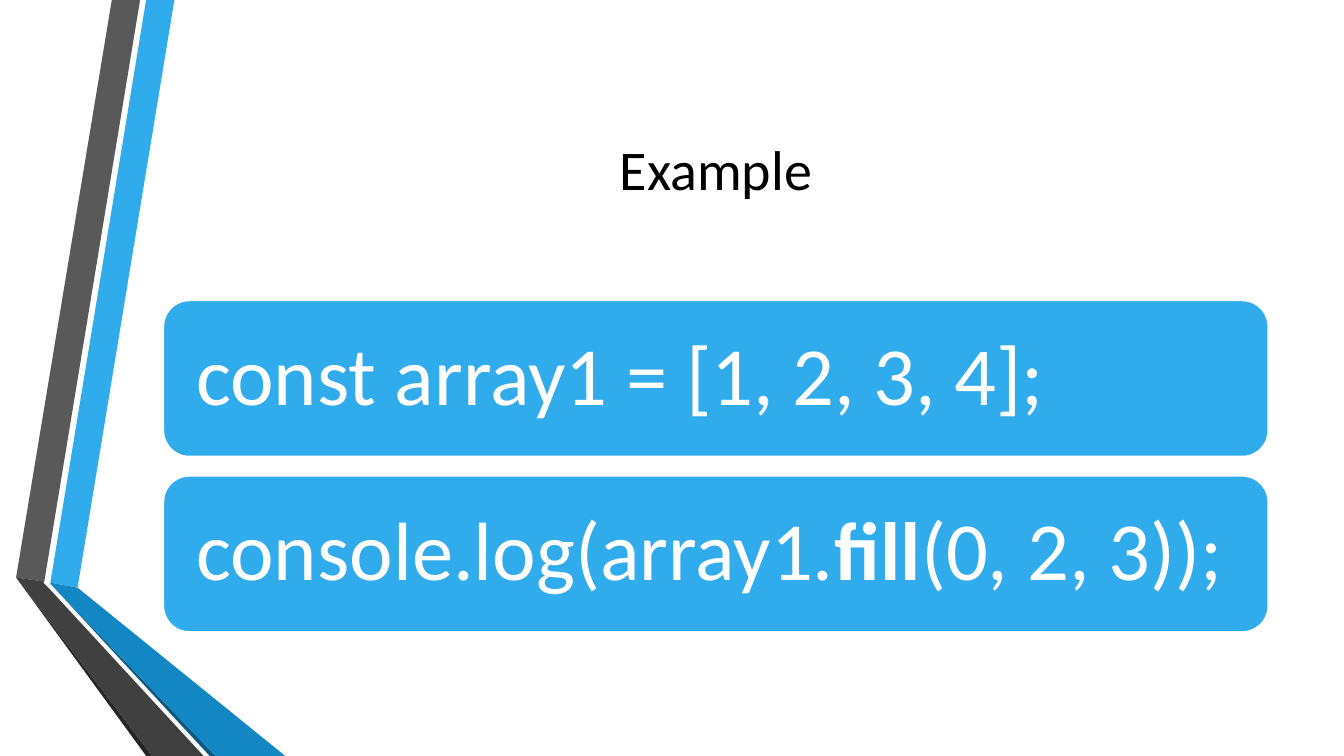
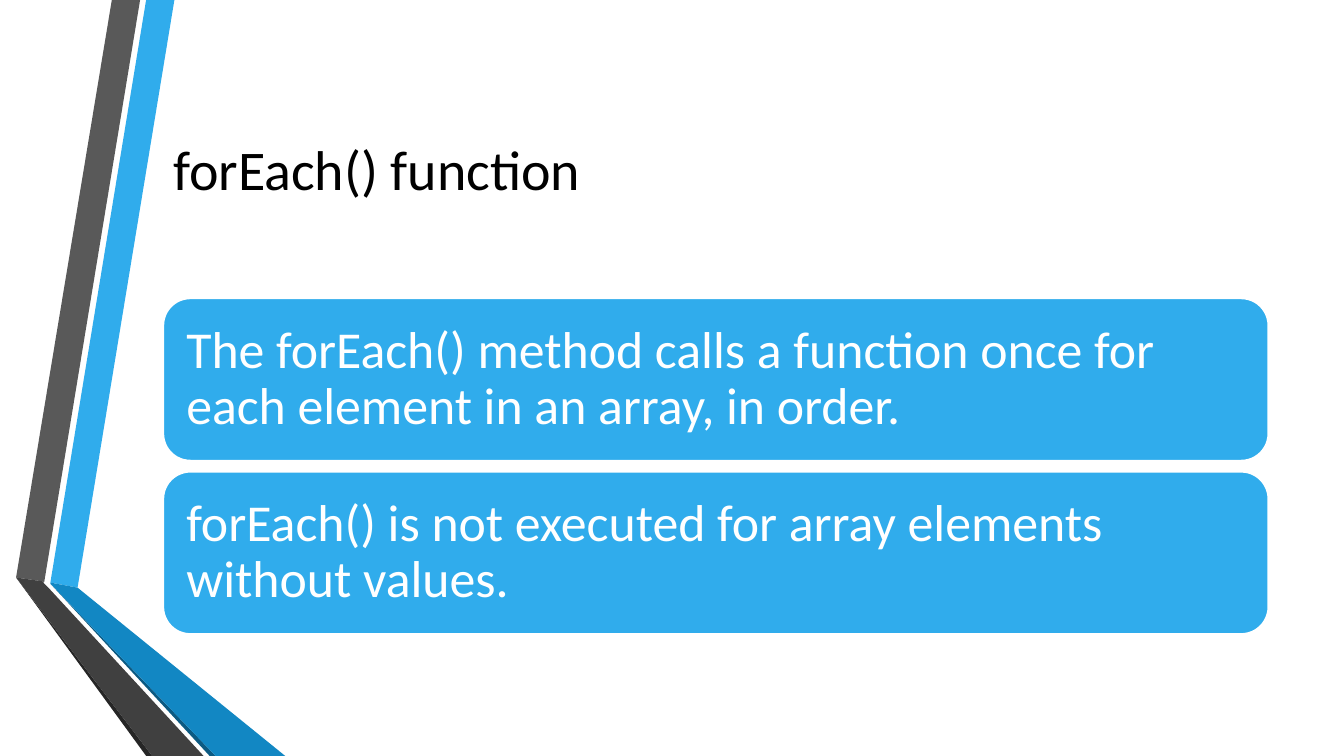
import pptx
import pptx.util
import pptx.dml.color
import pptx.enum.shapes
import pptx.enum.text

PX = 9144
FONT = "Calibri"
BLUE, WHITE, BLACK = "30ACEC", "FFFFFF", "000000"
ALIGN = pptx.enum.text.PP_ALIGN
TITLE = (162, 75, 1096, 192)
BODY = (162, 267, 1096, 391)
BANDS = [
    (BLUE, [(50, 578), (77, 583), (173, 0), (145, 0)]),
    ("595959", [(139, 0), (111, 0), (16, 573), (44, 577)]),
    ("262626", [(16, 573), (145, 750), (151, 750)]),
    ("0C5A82", [(50, 579), (208, 750), (214, 750)]),
    ("1287C3", [(50, 579), (214, 750), (283, 750), (77, 583), (50, 578)]),
    ("404040", [(202, 750), (48, 583), (43, 578), (44, 577), (16, 573), (151, 750)]),
]


def color(code):
    """Turn a hex string into a colour."""
    return pptx.dml.color.RGBColor.from_string(code)


def paint(shape, fill, line=None):
    """Give a shape a flat fill and an optional outline."""
    shape.shadow.inherit = False
    shape.fill.solid()
    shape.fill.fore_color.rgb = color(fill)
    if line:
        shape.line.color.rgb = color(line)
        shape.line.width = pptx.util.Pt(1.25)
    else:
        shape.line.fill.background()


def write(shape, parts, size, tint, align, inset):
    """Write one paragraph of (text, bold) parts, centred in height."""
    frame = shape.text_frame
    frame.word_wrap = True
    frame.vertical_anchor = pptx.enum.text.MSO_ANCHOR.MIDDLE
    frame.margin_left = frame.margin_right = inset * PX
    frame.margin_top = frame.margin_bottom = inset * PX
    para = frame.paragraphs[0]
    para.alignment = align
    para.line_spacing = 0.9
    for text, bold in parts:
        run = para.add_run()
        run.text = text
        run.font.name = FONT
        run.font.size = pptx.util.Pt(size)
        run.font.bold = bold
        run.font.color.rgb = color(tint)


def frame_bands(slide):
    """Draw the folded ribbons at the left edge."""
    for fill, points in BANDS:
        path = slide.shapes.build_freeform(*points[0], scale=PX)
        path.add_line_segments(points[1:], close=True)
        paint(path.convert_to_shape(), fill)


def add_title(slide, box, text, align):
    """Place the title in its box."""
    shape = slide.shapes.add_textbox(*(n * PX for n in box))
    write(shape, [(text, False)], 40, BLACK, align, 10)


def add_cards(slide, box, cards, high, gap, size, inset):
    """Stack rounded cards, centred in the height of the box."""
    left, top, wide, tall = box
    step = high + gap
    top += (tall - len(cards) * step + gap) // 2
    for i, parts in enumerate(cards):
        spot = (left, top + i * step, wide, high)
        card = slide.shapes.add_shape(
            pptx.enum.shapes.MSO_SHAPE.ROUNDED_RECTANGLE, *(n * PX for n in spot))
        paint(card, BLUE, WHITE)
        write(card, parts, size, WHITE, ALIGN.LEFT, inset)


def add_page(deck, title, align, cards, **style):
    """Build one slide with ribbons, title and cards."""
    slide = deck.slides.add_slide(deck.slide_layouts[6])
    frame_bands(slide)
    add_title(slide, TITLE, title, align)
    add_cards(slide, BODY, cards, **style)


def main():
    """Build and save the deck."""
    deck = pptx.Presentation()
    deck.slide_width = pptx.util.Emu(1333 * PX)
    deck.slide_height = pptx.util.Emu(750 * PX)
    add_page(deck, "Example", ALIGN.CENTER, [
        [("const array1 = [1, 2, 3, 4];", False)],
        [("console.log(array1.", False), ("fill", True), ("(0, 2, 3));", False)],
    ], high=155, gap=19, size=59, inset=25)
    add_page(deck, "forEach() function", ALIGN.LEFT, [
        [("The forEach() method calls a function once for each element "
          "in an array, in order.", False)],
        [("forEach() is not executed for array elements without values.", False)],
    ], high=161, gap=11, size=37, inset=15)
    deck.save("out.pptx")


if __name__ == "__main__":
    main()
